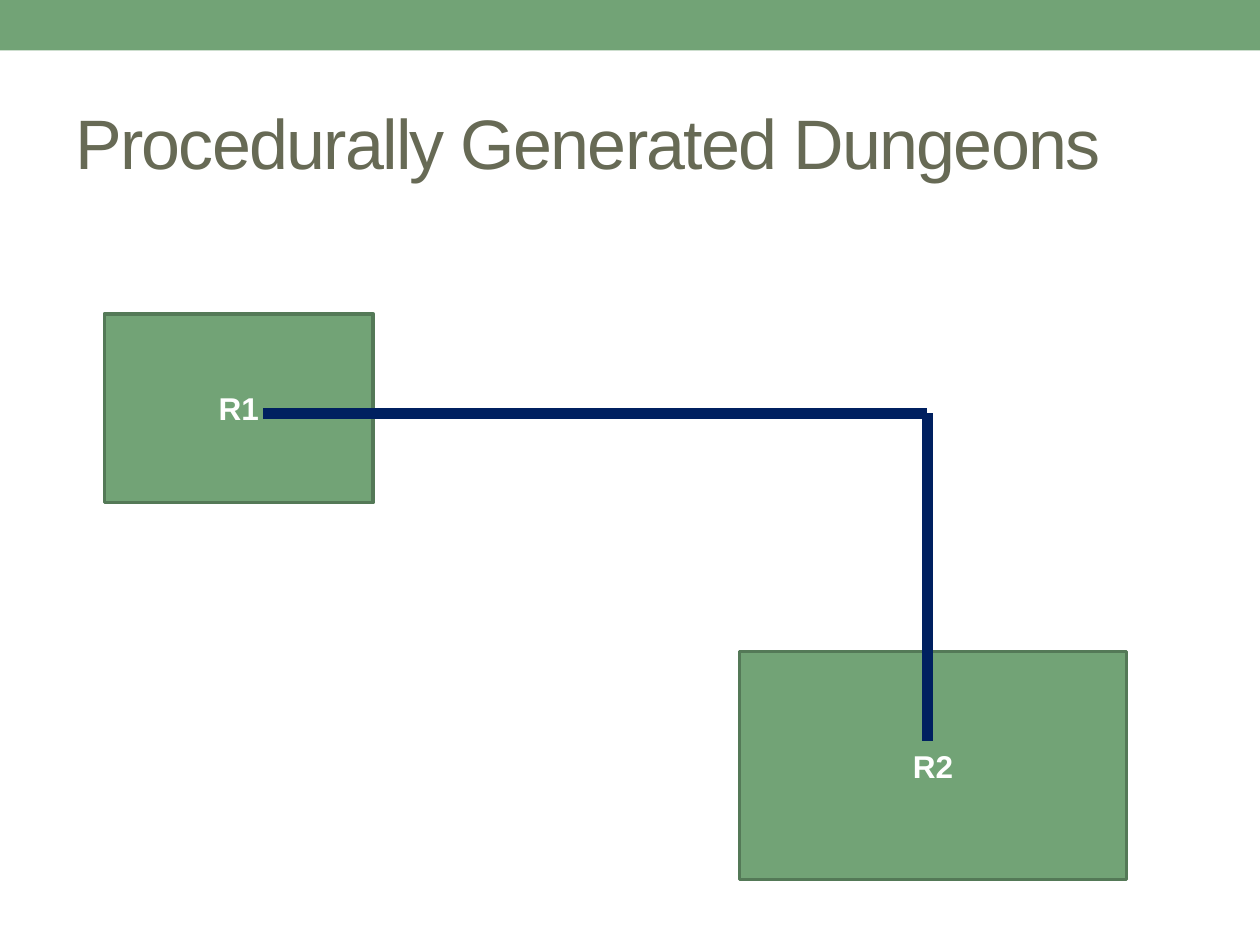
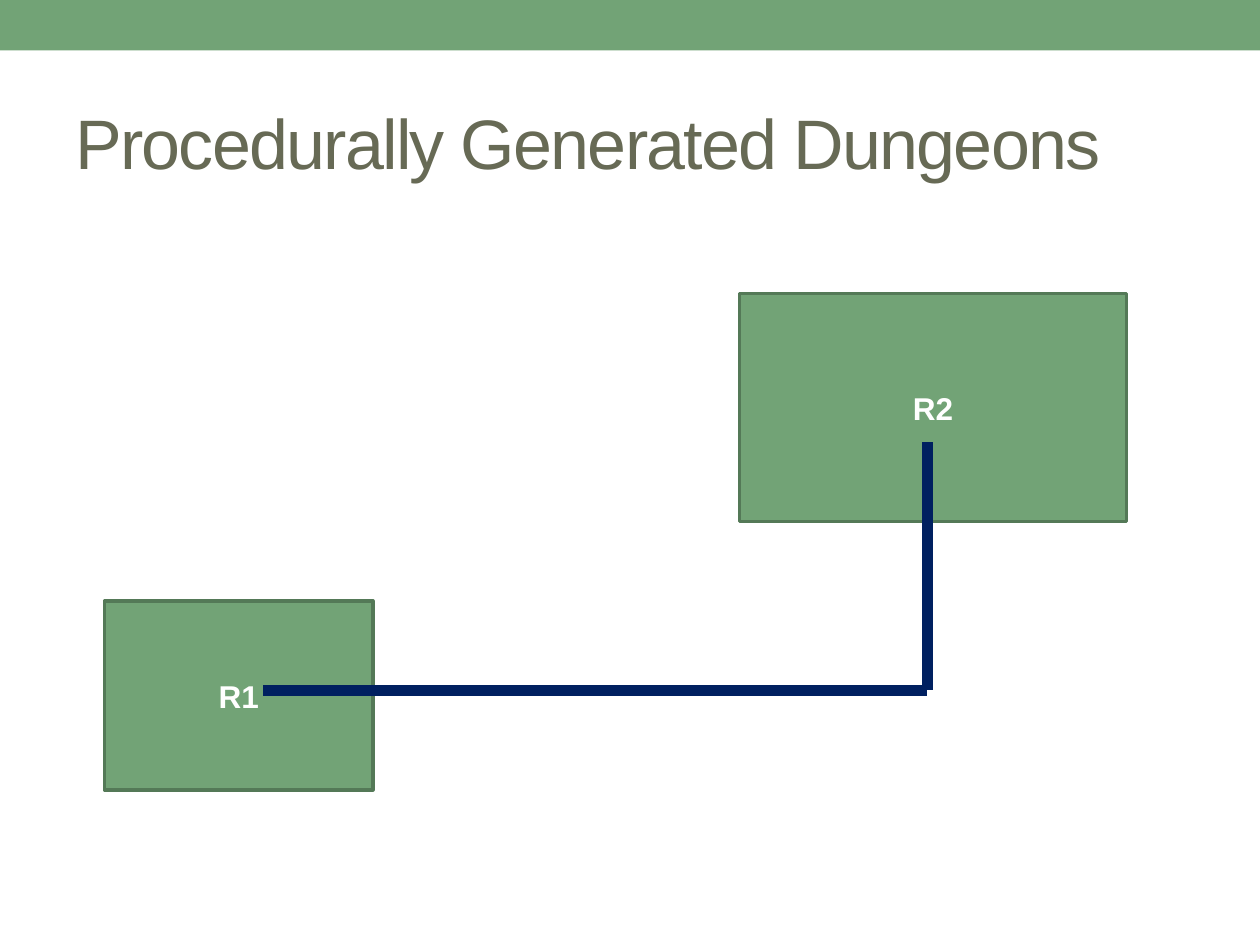
from dataclasses import dataclass
from typing import Any, Optional

import pptx
import pptx.dml.color
import pptx.enum.shapes
import pptx.enum.text
import pptx.oxml
import pptx.oxml.ns
import pptx.presentation
import pptx.shapes.autoshape
import pptx.slide
import pptx.util

GREEN = pptx.dml.color.RGBColor(0x72, 0xA3, 0x76)
DARK_GREEN = pptx.dml.color.RGBColor(0x54, 0x79, 0x57)
NAVY = pptx.dml.color.RGBColor(0x00, 0x20, 0x60)
OLIVE = pptx.dml.color.RGBColor(0x67, 0x6A, 0x55)
WHITE = pptx.dml.color.RGBColor(0xFF, 0xFF, 0xFF)

SLIDE_WIDTH = 720
SLIDE_HEIGHT = 540
BAND_HEIGHT = 28.8
ROOM_BORDER = 2.08
CORRIDOR_WIDTH = 6
CORRIDOR_START_X = 150.48
CORRIDOR_CORNER_X = 529.92

TITLE = "Procedurally Generated Dungeons"
TITLE_FONT = {"name": "Arial", "size": pptx.util.Pt(40), "bold": False}
ROOM_FONT = {"name": "Arial", "size": pptx.util.Pt(18), "bold": True}
CENTRED_FRAME = {"word_wrap": True, "vertical_anchor": pptx.enum.text.MSO_ANCHOR.MIDDLE}


@dataclass(frozen=True)
class Box:
    left: float
    top: float
    width: float
    height: float

    def lengths(self) -> list[pptx.util.Length]:
        return [pptx.util.Pt(value) for value in (self.left, self.top, self.width, self.height)]


@dataclass(frozen=True)
class Room:
    label: str
    box: Box


@dataclass(frozen=True)
class Corridor:
    start: tuple[float, float]
    end: tuple[float, float]


@dataclass(frozen=True)
class Dungeon:
    first_room_top: float
    second_room_top: float
    corridor_y: float
    corridor_end_y: float

    def rooms(self) -> list[Room]:
        return [
            Room("R1", Box(59.76, self.first_room_top, 153.36, 108)),
            Room("R2", Box(422.64, self.second_room_top, 221.04, 130.32)),
        ]

    def corridors(self) -> list[Corridor]:
        corner = (CORRIDOR_CORNER_X, self.corridor_y)
        return [
            Corridor((CORRIDOR_START_X, self.corridor_y), corner),
            Corridor(corner, (CORRIDOR_CORNER_X, self.corridor_end_y)),
        ]


DUNGEONS = [
    Dungeon(179.28, 372.24, 236.16, 423.36),
    Dungeon(343.44, 167.76, 394.56, 252.72),
]


def apply_format(target: Any, values: dict[str, Any]) -> None:
    for name, value in values.items():
        setattr(target, name, value)


def write_text(
    shape: pptx.shapes.autoshape.Shape,
    text: str,
    font: dict[str, Any],
    colour: pptx.dml.color.RGBColor,
    alignment: pptx.enum.text.PP_ALIGN,
) -> Any:
    apply_format(shape.text_frame, CENTRED_FRAME)
    paragraph = shape.text_frame.paragraphs[0]
    paragraph.alignment = alignment
    run = paragraph.add_run()
    run.text = text
    apply_format(run.font, font)
    run.font.color.rgb = colour
    return run


def add_rectangle(
    slide: pptx.slide.Slide, box: Box, border: Optional[pptx.dml.color.RGBColor] = None
) -> pptx.shapes.autoshape.Shape:
    shape = slide.shapes.add_shape(pptx.enum.shapes.MSO_SHAPE.RECTANGLE, *box.lengths())
    shape.shadow.inherit = False
    shape.fill.solid()
    shape.fill.fore_color.rgb = GREEN
    if border is None:
        shape.line.fill.background()
    else:
        shape.line.color.rgb = border
        shape.line.width = pptx.util.Pt(ROOM_BORDER)
    return shape


def add_title(slide: pptx.slide.Slide) -> None:
    shape = slide.shapes.add_textbox(*Box(36, 41.76, 648, 77.76).lengths())
    run = write_text(shape, TITLE, TITLE_FONT, OLIVE, pptx.enum.text.PP_ALIGN.LEFT)
    run.font._element.set("spc", "-100")


def add_room(slide: pptx.slide.Slide, room: Room) -> None:
    shape = add_rectangle(slide, room.box, DARK_GREEN)
    write_text(shape, room.label, ROOM_FONT, WHITE, pptx.enum.text.PP_ALIGN.CENTER)


def add_corridor(slide: pptx.slide.Slide, corridor: Corridor) -> None:
    points = [pptx.util.Pt(value) for value in (*corridor.start, *corridor.end)]
    connector = slide.shapes.add_connector(pptx.enum.shapes.MSO_CONNECTOR.STRAIGHT, *points)
    connector.line.color.rgb = NAVY
    connector.line.width = pptx.util.Pt(CORRIDOR_WIDTH)
    effects = pptx.oxml.parse_xml(f"<a:effectLst {pptx.oxml.ns.nsdecls('a')}/>")
    connector._element.spPr.append(effects)


def add_dungeon_slide(presentation: pptx.presentation.Presentation, dungeon: Dungeon) -> None:
    slide = presentation.slides.add_slide(presentation.slide_layouts[6])
    add_rectangle(slide, Box(0, 0, SLIDE_WIDTH, BAND_HEIGHT))
    add_title(slide)
    for room in dungeon.rooms():
        add_room(slide, room)
    for corridor in dungeon.corridors():
        add_corridor(slide, corridor)


def main() -> None:
    presentation = pptx.Presentation()
    presentation.slide_width = pptx.util.Pt(SLIDE_WIDTH)
    presentation.slide_height = pptx.util.Pt(SLIDE_HEIGHT)
    for dungeon in DUNGEONS:
        add_dungeon_slide(presentation, dungeon)
    presentation.save("out.pptx")


if __name__ == "__main__":
    main()
